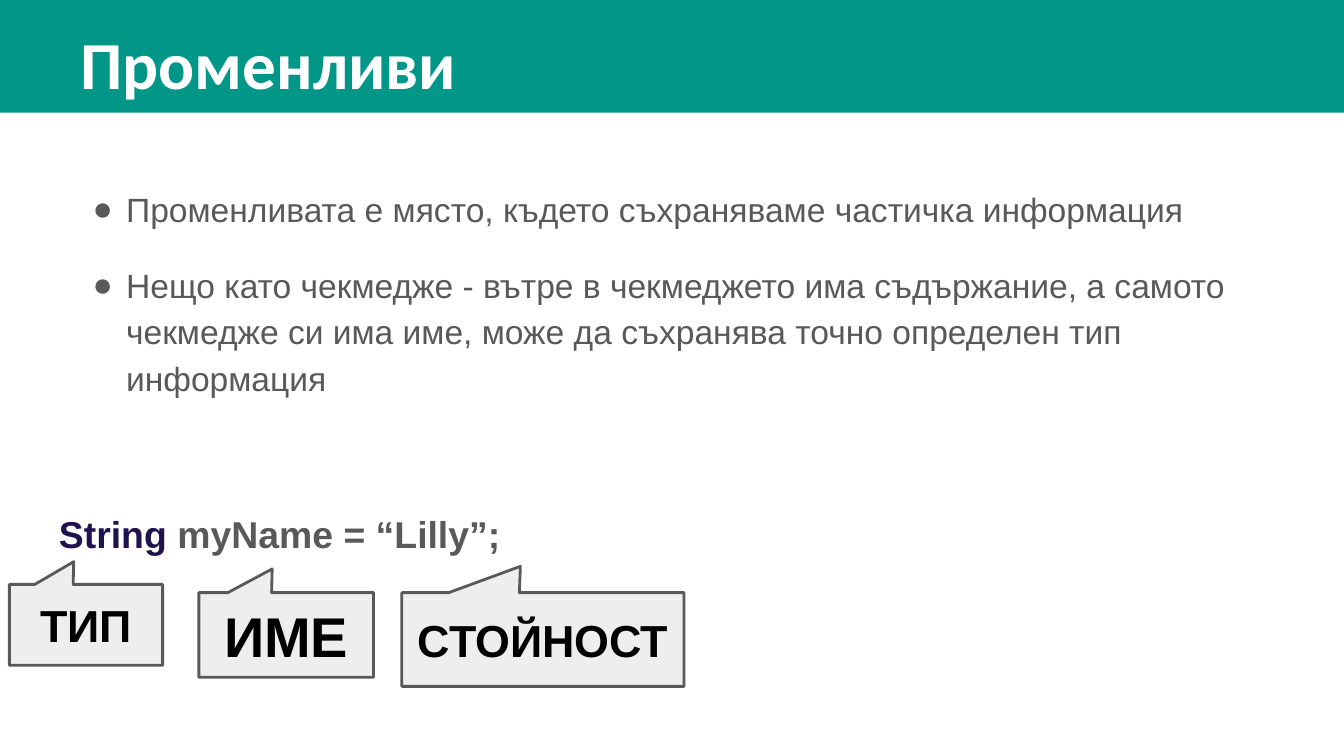
from dataclasses import dataclass

from lxml import etree
from pptx import Presentation
from pptx.dml.color import RGBColor
from pptx.enum.shapes import MSO_SHAPE
from pptx.enum.text import MSO_ANCHOR, PP_ALIGN
from pptx.oxml.ns import qn
from pptx.util import Inches, Pt

RECT = MSO_SHAPE.RECTANGLE
CALLOUT = MSO_SHAPE.ROUNDED_RECTANGULAR_CALLOUT
TOP, MIDDLE = MSO_ANCHOR.TOP, MSO_ANCHOR.MIDDLE
LEFT, CENTER = PP_ALIGN.LEFT, PP_ALIGN.CENTER

WIDTH = 10
HEIGHT = WIDTH * 9 / 16
BAND = 0.149  # header share of the slide height
TITLE_TOP = 0.012
INSET = 0.1
COLORS = {
    "header": "009688",
    "title": "FFFFFF",
    "body": "595959",
    "keyword": "20124D",
    "label": "000000",
    "callout": "EEEEEE",
}


@dataclass
class Box:
    """Shares of the slide's width and height."""
    x: float
    y: float
    w: float
    h: float

    def emu(self) -> tuple:
        return (Inches(self.x * WIDTH), Inches(self.y * HEIGHT),
                Inches(self.w * WIDTH), Inches(self.h * HEIGHT))


@dataclass
class Callout:
    text: str
    box: Box
    size: int


BULLETS = [
    "Променливата е място, където съхраняваме частичка информация",
    "Нещо като чекмедже - вътре в чекмеджето има съдържание, а самото "
    "чекмедже си има име, може да съхранява точно определен тип информация",
]
CALLOUTS = [
    Callout("ТИП", Box(0.007, 0.773, 0.114, 0.107), 24),
    Callout("ИМЕ", Box(0.148, 0.784, 0.13, 0.112), 30),
    Callout("СТОЙНОСТ", Box(0.299, 0.784, 0.21, 0.124), 24),
]


def rgb(name: str) -> RGBColor:
    return RGBColor.from_string(COLORS[name])


def set_frame(tf, anchor=TOP) -> None:
    tf.word_wrap = True
    tf.vertical_anchor = anchor
    tf.margin_left = tf.margin_right = Inches(INSET)
    tf.margin_top = tf.margin_bottom = Inches(INSET)


def add_text(p, text: str, *, size: int, color: str, font: str = "Arial",
             bold: bool = False, align=LEFT) -> None:
    p.alignment = align
    r = p.add_run()
    r.text = text
    r.font.name = font
    r.font.size = Pt(size)
    r.font.bold = bold
    r.font.color.rgb = rgb(color)


def set_indent(p, left: float, first: float = 0) -> None:
    pPr = p._p.get_or_add_pPr()
    pPr.set("marL", str(Inches(left)))
    pPr.set("indent", str(Inches(first)))


def add_bullet(p, color: str, size: int) -> None:
    set_indent(p, 0.5, -0.25)
    pPr = p._p.get_or_add_pPr()
    clr = etree.SubElement(pPr, qn("a:buClr"))
    etree.SubElement(clr, qn("a:srgbClr")).set("val", COLORS[color])
    etree.SubElement(pPr, qn("a:buSzPts")).set("val", str(size * 100))
    etree.SubElement(pPr, qn("a:buFont")).set("typeface", "Arial")
    etree.SubElement(pPr, qn("a:buChar")).set("char", "●")


def add_shape(s, kind, box: Box, fill: str, line: str | None = None):
    sp = s.shapes.add_shape(kind, *box.emu())
    sp.shadow.inherit = False
    sp.fill.solid()
    sp.fill.fore_color.rgb = rgb(fill)
    if line:
        sp.line.color.rgb = rgb(line)
        sp.line.width = Pt(1.5)
    else:
        sp.line.fill.background()
    return sp


def add_textbox(s, box: Box):
    tf = s.shapes.add_textbox(*box.emu()).text_frame
    set_frame(tf)
    return tf


def add_body(s) -> None:
    tf = add_textbox(s, Box(0.034, 0.224, 0.932, 0.75))
    paragraphs = [tf.paragraphs[0]] + [tf.add_paragraph() for _ in BULLETS]
    for p in paragraphs:
        p.line_spacing = 1.15
        p.space_after = Pt(16)
    for p, text in zip(paragraphs, BULLETS):
        add_bullet(p, "body", 18)
        add_text(p, text, size=18, color="body")
    code = paragraphs[-1]
    code.space_before = Pt(41)
    add_text(code, "String ", size=20, color="keyword", bold=True)
    add_text(code, "myName = “Lilly”;", size=20, color="body", bold=True)


def add_header(s) -> None:
    add_shape(s, RECT, Box(0, 0, 1, BAND), "header")
    tf = add_textbox(s, Box(0, TITLE_TOP, 0.744, BAND - TITLE_TOP))
    p = tf.paragraphs[0]
    set_indent(p, 0.5)
    add_text(p, "Променливи", size=36, color="title", font="Calibri", bold=True)


def add_callout(s, c: Callout) -> None:
    sp = add_shape(s, CALLOUT, c.box, "callout", "body")
    for i, value in enumerate((-0.08, -0.78, 0)):
        sp.adjustments[i] = value
    set_frame(sp.text_frame, MIDDLE)
    add_text(sp.text_frame.paragraphs[0], c.text, size=c.size, color="label",
             bold=True, align=CENTER)


def main() -> None:
    prs = Presentation()
    prs.slide_width, prs.slide_height = Inches(WIDTH), Inches(HEIGHT)
    s = prs.slides.add_slide(prs.slide_layouts[6])
    add_body(s)
    add_header(s)
    for c in CALLOUTS:
        add_callout(s, c)
    prs.save("out.pptx")


if __name__ == "__main__":
    main()
